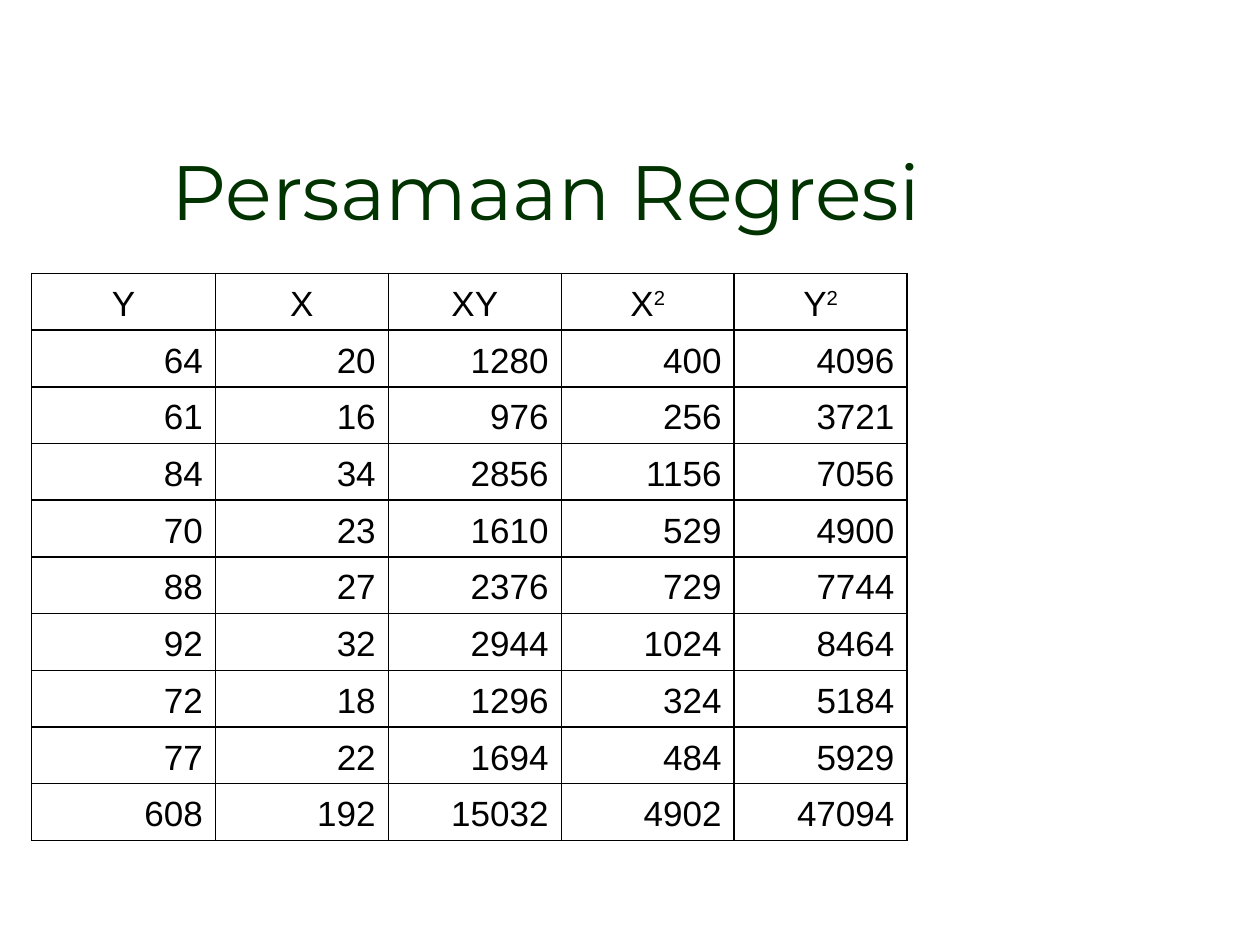
"""Build the regression equation slide."""
from lxml import etree
from pptx import Presentation
from pptx import util as u
from pptx.dml.color import RGBColor
from pptx.enum import text
from pptx.oxml import ns

GREEN = RGBColor(0x00, 0x33, 0x00)
BLACK = RGBColor(0x00, 0x00, 0x00)
WIDTH, HEIGHT = u.Inches(10), u.Inches(7.5)
TITLE_BOX = (u.Inches(0.25), u.Inches(0.35), u.Inches(8.17), u.Inches(1.57))
TABLE_BOX = (u.Inches(0.25), u.Inches(2.17), u.Inches(6.95), u.Inches(4.5))
FIRST_COLUMN_SHARE = 0.21
HANGING = u.Inches(0.38)
HEADINGS = [("Y", ""), ("X", ""), ("XY", ""), ("X", "2"), ("Y", "2")]
PAIRS = [(64, 20), (61, 16), (84, 34), (70, 23), (88, 27), (92, 32), (72, 18), (77, 22)]


def regression_rows():
    """Return each pair with its products, followed by the column totals."""
    rows = [(y, x, x * y, x * x, y * y) for y, x in PAIRS]
    return rows + [tuple(map(sum, zip(*rows)))]


def style_font(font, name, size, color):
    """Apply a typeface, point size and colour."""
    font.name = name
    font.size = u.Pt(size)
    font.color.rgb = color


def outline_cell(cell):
    """Draw a thin black border on all sides of a cell without a fill."""
    properties = cell._tc.get_or_add_tcPr()
    for side in ("a:lnL", "a:lnR", "a:lnT", "a:lnB"):
        line = etree.SubElement(properties, ns.qn(side), w=str(u.Pt(1)))
        fill = etree.SubElement(line, ns.qn("a:solidFill"))
        etree.SubElement(fill, ns.qn("a:srgbClr"), val=str(BLACK))
    cell.fill.background()


def fill_cell(cell, label, alignment, exponent=""):
    """Write a label and optional exponent at the bottom of a cell."""
    outline_cell(cell)
    cell.vertical_anchor = text.MSO_ANCHOR.BOTTOM
    para = cell.text_frame.paragraphs[0]
    para.text = label
    para.alignment = alignment
    indents = para._p.get_or_add_pPr()
    indents.set("marL", str(HANGING))
    indents.set("indent", str(-HANGING))
    if exponent:
        span = para.add_run()
        span.text = exponent
        span._r.get_or_add_rPr().set("baseline", "30000")
    for span in para.runs:
        style_font(span.font, "Arial", 20, BLACK)


def place_title(page, box):
    """Place the slide title at the bottom of its box."""
    title = page.shapes.title
    title.left, title.top, title.width, title.height = box
    frame = title.text_frame
    frame.text = "Persamaan Regresi"
    frame.word_wrap = True
    frame.vertical_anchor = text.MSO_ANCHOR.BOTTOM
    para = frame.paragraphs[0]
    para.alignment = text.PP_ALIGN.CENTER
    style_font(para.runs[0].font, "Montserrat", 44, GREEN)


def place_table(page, box):
    """Place the headings, data and totals in a bordered table."""
    rows = regression_rows()
    table = page.shapes.add_table(len(rows) + 1, len(HEADINGS), *box).table
    table.first_row = table.horz_banding = False
    width = box[2]
    first = int(width * FIRST_COLUMN_SHARE)
    for index, column in enumerate(table.columns):
        column.width = (width - first) // (len(HEADINGS) - 1) if index else first
    for index, (label, exponent) in enumerate(HEADINGS):
        fill_cell(table.cell(0, index), label, text.PP_ALIGN.CENTER, exponent)
    for row_index, values in enumerate(rows, start=1):
        for index, value in enumerate(values):
            fill_cell(table.cell(row_index, index), str(value), text.PP_ALIGN.RIGHT)


def main():
    """Create and save the deck."""
    deck = Presentation()
    deck.slide_width, deck.slide_height = WIDTH, HEIGHT
    page = deck.slides.add_slide(deck.slide_layouts[5])
    place_title(page, TITLE_BOX)
    place_table(page, TABLE_BOX)
    deck.save("out.pptx")


if __name__ == "__main__":
    main()
